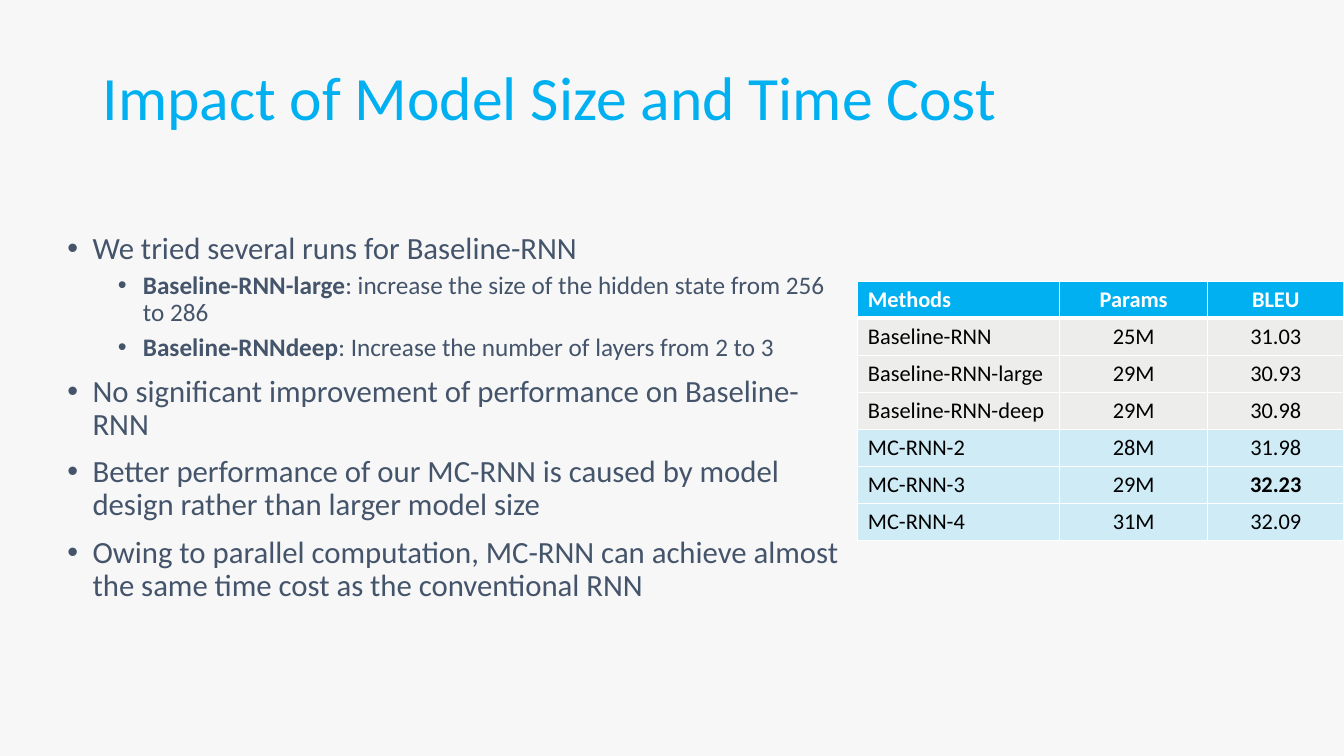
from pptx import Presentation
from pptx.dml.color import RGBColor
from pptx.enum.text import MSO_ANCHOR as Anchor, PP_ALIGN as Align
from pptx.oxml import parse_xml
from pptx.oxml.ns import nsdecls
from pptx.util import Pt

TITLE = "Impact of Model Size and Time Cost"
# (level, bold lead, text)
BULLETS = [
    (0, "", "We tried several runs for Baseline-RNN"),
    (1, "Baseline-RNN-large", ": increase the size of the hidden state from 256 to 286"),
    (1, "Baseline-RNNdeep", ": Increase the number of layers from 2 to 3"),
    (0, "", "No significant improvement of performance on Baseline-RNN"),
    (0, "", "Better performance of our MC-RNN is caused by model design rather than larger model size"),
    (0, "", "Owing to parallel computation, MC-RNN can achieve almost the same time cost "
            "as the conventional RNN"),
]
RESULTS = [
    ("Methods", "Params", "BLEU"),
    ("Baseline-RNN", "25M", "31.03"),
    ("Baseline-RNN-large", "29M", "30.93"),
    ("Baseline-RNN-deep", "29M", "30.98"),
    ("MC-RNN-2", "28M", "31.98"),
    ("MC-RNN-3", "29M", "32.23"),
    ("MC-RNN-4", "31M", "32.09"),
]
BEST_SCORE = max(row[2] for row in RESULTS[1:])

THEME = {
    "font": "Calibri",
    "background": "F7F7F7", "accent": "00B0F0", "body": "44546A",
    "white": "FFFFFF", "black": "000000",
    "baseline_fill": "EDEEEB", "ours_fill": "CEEBF6",
    "title_size": 44, "level_sizes": (22, 18), "table_size": 16,
}
SLIDE_SIZE = (960, 540)
TITLE_BOX = (66.24, 19.44, 828, 104.4)
BODY_BOX = (41.04, 162.72, 567.36, 371.52)
TABLE_ORIGIN = (612.8, 200.9)
COLUMN_WIDTHS = (144, 106, 97)
ROW_HEIGHT = 26.4
LEVEL_INDENTS = (18, 54)
LEVEL_SPACING = (10, 5)
HANGING = 18


def set_all(target, values):
    for name, value in values.items():
        setattr(target, name, value)


def add_run(paragraph, text, size, color, bold=False):
    run = paragraph.add_run()
    run.text = text
    set_all(run.font, {"name": THEME["font"], "size": Pt(size), "bold": bold})
    run.font.color.rgb = RGBColor.from_string(THEME[color])


def add_text_frame(slide, box, anchor):
    frame = slide.shapes.add_textbox(*map(Pt, box)).text_frame
    set_all(frame, {"word_wrap": True, "vertical_anchor": anchor})
    return frame


def add_bullet(paragraph, level):
    set_all(paragraph, {"level": level, "line_spacing": 0.9,
                        "space_before": Pt(LEVEL_SPACING[level])})
    properties = paragraph._p.get_or_add_pPr()
    properties.set("marL", str(Pt(LEVEL_INDENTS[level])))
    properties.set("indent", str(-Pt(HANGING)))
    properties.append(parse_xml(f'<a:buFont {nsdecls("a")} typeface="Arial"/>'))
    properties.append(parse_xml(f'<a:buChar {nsdecls("a")} char="•"/>'))


def add_borders(cell, bottom_width):
    """Draw white borders; they precede the fill in the cell properties."""
    properties = cell._tc.get_or_add_tcPr()
    for index, (side, width) in enumerate(
            {"lnL": 1, "lnR": 1, "lnT": 1, "lnB": bottom_width}.items()):
        properties.insert(index, parse_xml(
            f'<a:{side} {nsdecls("a")} w="{Pt(width)}"><a:solidFill>'
            f'<a:srgbClr val="{THEME["white"]}"/></a:solidFill></a:{side}>'))


def add_title(slide):
    paragraph = add_text_frame(slide, TITLE_BOX, Anchor.MIDDLE).paragraphs[0]
    paragraph.line_spacing = 0.9
    add_run(paragraph, TITLE, THEME["title_size"], "accent")


def add_body(slide):
    frame = add_text_frame(slide, BODY_BOX, Anchor.TOP)
    for index, (level, lead, text) in enumerate(BULLETS):
        paragraph = frame.add_paragraph() if index else frame.paragraphs[0]
        add_bullet(paragraph, level)
        size = THEME["level_sizes"][level]
        if lead:
            add_run(paragraph, lead, size, "body", bold=True)
        add_run(paragraph, text, size, "body")


def add_results(slide):
    size = (sum(COLUMN_WIDTHS), ROW_HEIGHT * len(RESULTS))
    table = slide.shapes.add_table(len(RESULTS), len(COLUMN_WIDTHS),
                                   *map(Pt, TABLE_ORIGIN + size)).table
    for column, width in zip(table.columns, COLUMN_WIDTHS):
        column.width = Pt(width)
    for row_index, values in enumerate(RESULTS):
        header = row_index == 0
        fill = ("accent" if header else
                "ours_fill" if values[0].startswith("MC") else "baseline_fill")
        for column_index, value in enumerate(values):
            cell = table.cell(row_index, column_index)
            cell.fill.solid()
            cell.fill.fore_color.rgb = RGBColor.from_string(THEME[fill])
            add_borders(cell, 3 if header else 1)
            paragraph = cell.text_frame.paragraphs[0]
            paragraph.alignment = Align.CENTER if column_index else Align.LEFT
            add_run(paragraph, value, THEME["table_size"],
                    "white" if header else "black",
                    bold=header or value == BEST_SCORE)


def main():
    presentation = Presentation()
    presentation.slide_width, presentation.slide_height = map(Pt, SLIDE_SIZE)
    slide = presentation.slides.add_slide(presentation.slide_layouts[6])
    slide.background.fill.solid()
    slide.background.fill.fore_color.rgb = RGBColor.from_string(THEME["background"])
    add_title(slide)
    add_body(slide)
    add_results(slide)
    presentation.save("out.pptx")


if __name__ == "__main__":
    main()
